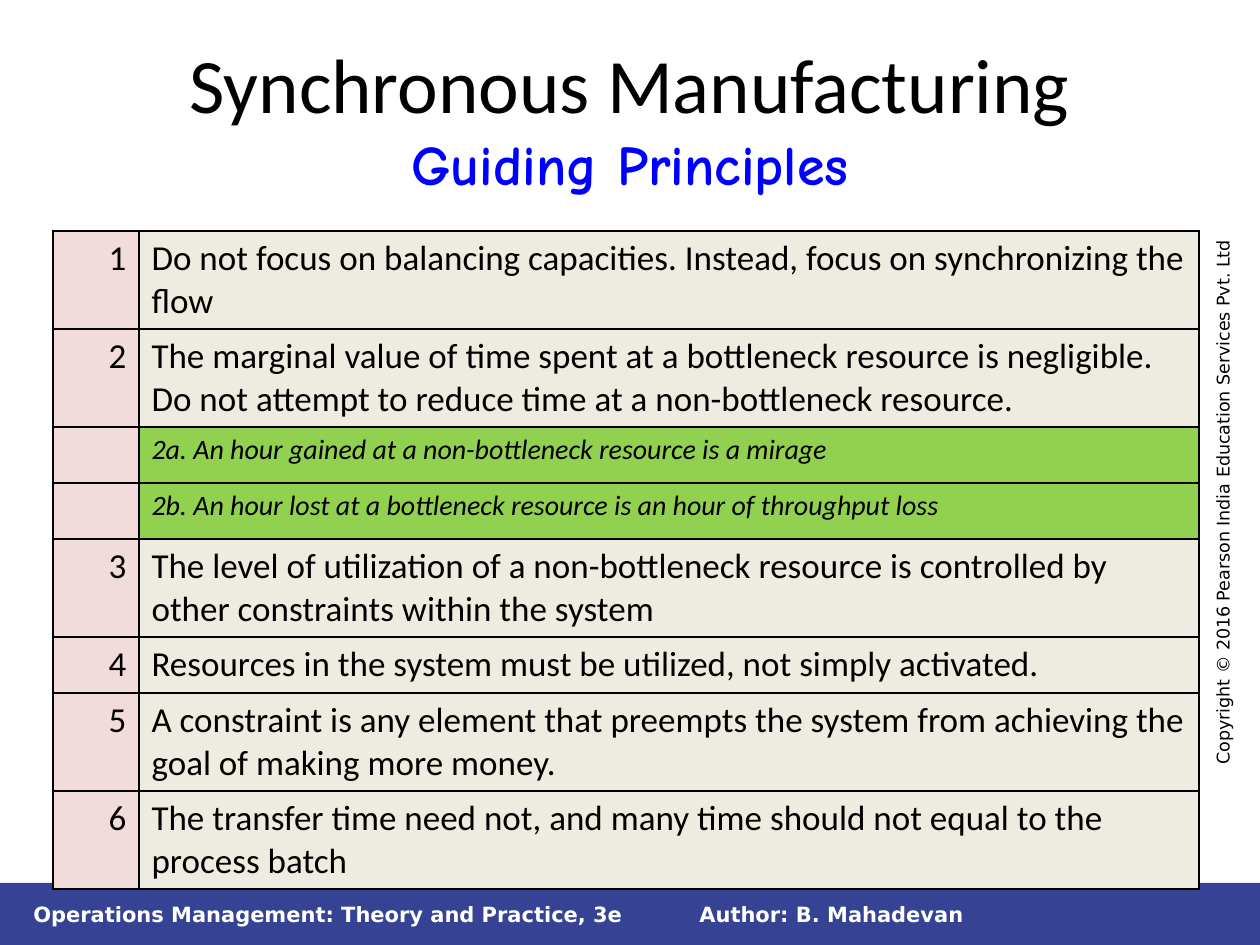
from dataclasses import dataclass

from lxml import etree
from pptx import Presentation
from pptx.dml.color import RGBColor
from pptx.enum.shapes import MSO_SHAPE
from pptx.enum.text import MSO_ANCHOR, MSO_AUTO_SIZE, PP_ALIGN
from pptx.oxml.ns import qn
from pptx.util import Emu, Pt

RECTANGLE = MSO_SHAPE.RECTANGLE
TOP, MIDDLE = MSO_ANCHOR.TOP, MSO_ANCHOR.MIDDLE
LEFT, CENTER, RIGHT = PP_ALIGN.LEFT, PP_ALIGN.CENTER, PP_ALIGN.RIGHT
NO_AUTOFIT = MSO_AUTO_SIZE.NONE
TITLE_ONLY = 5
PX_PER_INCH = 126


@dataclass(frozen=True)
class Theme:
    text: str = "000000"
    white: str = "FFFFFF"
    accent: str = "0000FF"
    footer: str = "364395"
    number_fill: str = "F2DCDB"
    principle_fill: str = "EEECE1"
    corollary_fill: str = "92D050"
    body_font: str = "Calibri"
    accent_font: str = "Comic Neue"
    footer_font: str = "DejaVu Sans"
    title_size: int = 44
    subtitle_size: int = 32
    principle_size: int = 20
    corollary_size: int = 16
    footer_size: int = 12
    copyright_size: int = 10
    outer_line: float = 1.5
    inner_line: float = 1


@dataclass(frozen=True)
class Box:
    left: int
    top: int
    width: int
    height: int

    def emu(self) -> tuple:
        return tuple(px(n) for n in (self.left, self.top, self.width, self.height))


@dataclass(frozen=True)
class Label:
    text: str
    box: Box
    size: int
    color: str
    bold: bool = False
    rotation: int = 0
    anchor: MSO_ANCHOR = MIDDLE


@dataclass(frozen=True)
class Principle:
    number: str
    text: str
    lines: int = 2

    @property
    def is_corollary(self) -> bool:
        return not self.number


THEME = Theme()
ROW_HEIGHTS = {1: 56, 2: 98}
COLUMN_WIDTHS = (86, 1060)
TABLE_LEFT, TABLE_TOP = 53, 231

LABELS = (
    Label("Author: B. Mahadevan", Box(687, 895, 560, 38),
          THEME.footer_size, THEME.white, bold=True),
    Label("Operations Management: Theory and Practice, 3e", Box(21, 895, 630, 38),
          THEME.footer_size, THEME.white, bold=True),
    Label("Copyright © 2016 Pearson India Education Services Pvt. Ltd",
          Box(939, 476, 568, 34), THEME.copyright_size, THEME.text,
          rotation=270, anchor=TOP),
)

PRINCIPLES = (
    Principle("1", "Do not focus on balancing capacities. Instead, focus on "
                   "synchronizing the flow"),
    Principle("2", "The marginal value of time spent at a bottleneck resource is "
                   "negligible. Do not attempt to reduce time at a non-bottleneck resource."),
    Principle("", "2a. An hour gained at a non-bottleneck resource is a mirage", 1),
    Principle("", "2b. An hour lost at a bottleneck resource is an hour of "
                  "throughput loss", 1),
    Principle("3", "The level of utilization of a non-bottleneck resource is "
                   "controlled by other constraints within the system"),
    Principle("4", "Resources in the system must be utilized, not simply activated.", 1),
    Principle("5", "A constraint is any element that preempts the system from "
                   "achieving the goal of making more money."),
    Principle("6", "The transfer time need not, and many time should not equal to "
                   "the process batch"),
)


def px(count: int) -> Emu:
    return Emu(round(count * 914400 / PX_PER_INCH))


def style_font(font, name: str, size: int, color: str,
               bold: bool = False, italic: bool = False) -> None:
    font.name, font.size = name, Pt(size)
    font.bold, font.italic = bold, italic
    font.color.rgb = RGBColor.from_string(color)


def format_title(title) -> None:
    title.left, title.top, title.width, title.height = Box(63, 38, 1134, 157).emu()
    frame = title.text_frame
    frame.auto_size = NO_AUTOFIT
    frame.vertical_anchor = MIDDLE
    paragraph = frame.paragraphs[0]
    paragraph.text = "Synchronous Manufacturing\vGuiding Principles"
    paragraph.alignment = CENTER
    heading, subtitle = paragraph.runs
    style_font(heading.font, THEME.body_font, THEME.title_size, THEME.text)
    style_font(subtitle.font, THEME.accent_font, THEME.subtitle_size,
               THEME.accent, bold=True)


def add_footer_bar(slide) -> None:
    bar = slide.shapes.add_shape(RECTANGLE, *Box(0, 883, 1260, 62).emu())
    bar.shadow.inherit = False
    bar.fill.solid()
    bar.fill.fore_color.rgb = RGBColor.from_string(THEME.footer)
    bar.line.fill.background()


def add_label(slide, label: Label) -> None:
    shape = slide.shapes.add_textbox(*label.box.emu())
    shape.rotation = label.rotation
    frame = shape.text_frame
    frame.word_wrap = True
    frame.vertical_anchor = label.anchor
    frame.text = label.text
    style_font(frame.paragraphs[0].runs[0].font, THEME.footer_font,
               label.size, label.color, bold=label.bold)


def set_borders(cell, widths: dict) -> None:
    """Border elements come before the fill, in the order L, R, T, B."""
    properties = cell._tc.get_or_add_tcPr()
    for index, side in enumerate("LRTB"):
        line = etree.Element(qn(f"a:ln{side}"), w=str(Pt(widths[side])))
        fill = etree.SubElement(line, qn("a:solidFill"))
        etree.SubElement(fill, qn("a:srgbClr"), val=THEME.text)
        properties.insert(index, line)


def fill_cell(cell, text: str, fill: str, alignment: PP_ALIGN,
              size: int, italic: bool) -> None:
    cell.fill.solid()
    cell.fill.fore_color.rgb = RGBColor.from_string(fill)
    cell.text_frame.text = text
    paragraph = cell.text_frame.paragraphs[0]
    paragraph.alignment = alignment
    for run in paragraph.runs:
        style_font(run.font, THEME.body_font, size, THEME.text, italic=italic)


def add_principles_table(slide) -> None:
    heights = [ROW_HEIGHTS[principle.lines] for principle in PRINCIPLES]
    box = Box(TABLE_LEFT, TABLE_TOP, sum(COLUMN_WIDTHS), sum(heights))
    table = slide.shapes.add_table(len(PRINCIPLES), len(COLUMN_WIDTHS), *box.emu()).table
    table.first_row = table.horz_banding = False
    for column, width in zip(table.columns, COLUMN_WIDTHS):
        column.width = px(width)

    last_row = len(PRINCIPLES) - 1
    outer, inner = THEME.outer_line, THEME.inner_line
    for row, (principle, height) in enumerate(zip(PRINCIPLES, heights)):
        table.rows[row].height = px(height)
        corollary = principle.is_corollary
        size = THEME.corollary_size if corollary else THEME.principle_size
        text_fill = THEME.corollary_fill if corollary else THEME.principle_fill
        contents = ((principle.number, THEME.number_fill, RIGHT),
                    (principle.text, text_fill, LEFT))
        for column, (text, fill, alignment) in enumerate(contents):
            cell = table.cell(row, column)
            fill_cell(cell, text, fill, alignment, size, corollary)
            set_borders(cell, {"L": outer if column == 0 else inner,
                               "R": outer if column == 1 else inner,
                               "T": outer if row == 0 else inner,
                               "B": outer if row == last_row else inner})


def main() -> None:
    presentation = Presentation()
    presentation.slide_width, presentation.slide_height = px(1260), px(945)
    slide = presentation.slides.add_slide(presentation.slide_layouts[TITLE_ONLY])

    # Footer and copyright line
    add_footer_bar(slide)
    for label in LABELS:
        add_label(slide, label)

    # Title and guiding principles
    format_title(slide.shapes.title)
    add_principles_table(slide)

    presentation.save("out.pptx")


if __name__ == "__main__":
    main()
